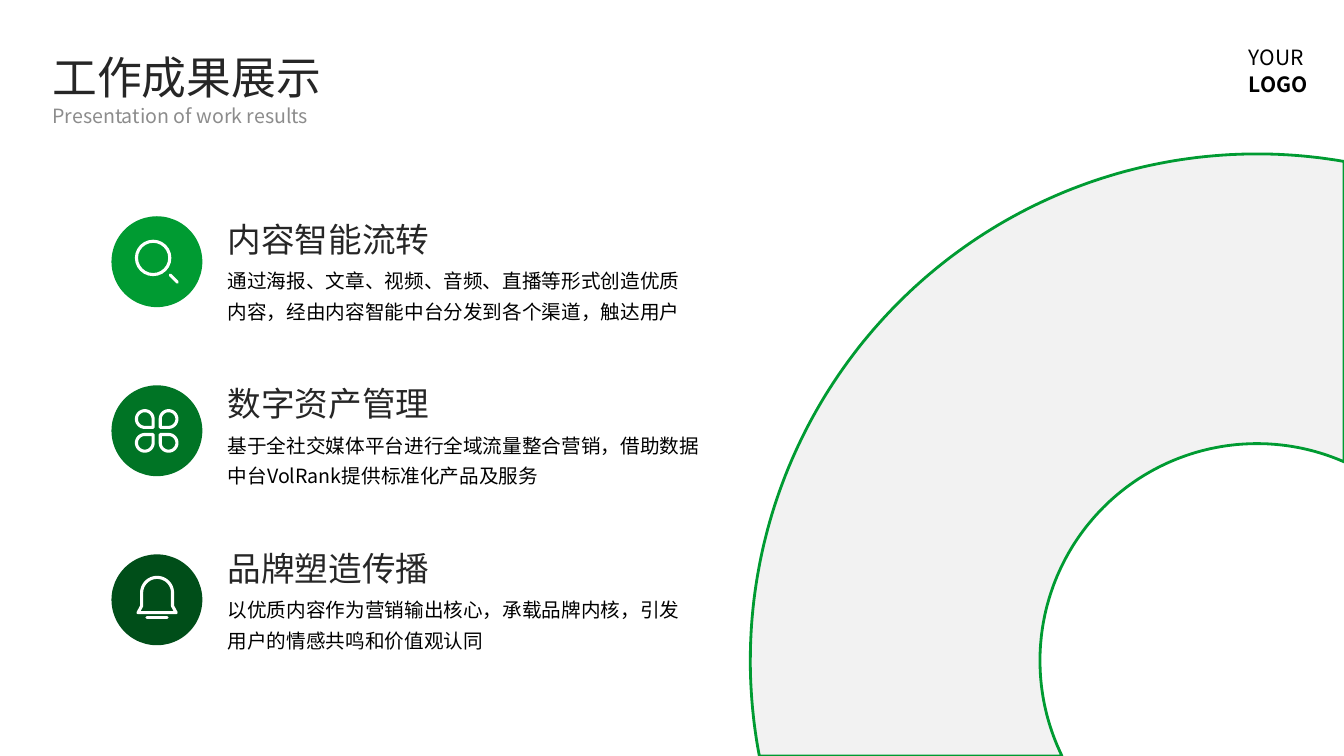
"""Build the work results slide with three icon rows and a large green arc."""
from math import acos, asin, cos, pi, sin

from lxml.etree import SubElement
from pptx import Presentation
from pptx.dml.color import RGBColor
from pptx.enum.shapes import MSO_CONNECTOR as LINK, MSO_SHAPE as KIND
from pptx.enum.text import MSO_ANCHOR, MSO_AUTO_SIZE as SIZE, PP_ALIGN
from pptx.oxml.ns import qn
from pptx.util import Cm, Pt

FONT = "Noto Sans CJK JP"
BLACK = RGBColor(0x00, 0x00, 0x00)
DARK = RGBColor(0x26, 0x26, 0x26)
GRAY = RGBColor(0x40, 0x40, 0x40)
WHITE = RGBColor(0xFF, 0xFF, 0xFF)
PALE = RGBColor(0xF2, 0xF2, 0xF2)
GREEN = RGBColor(0x00, 0x9B, 0x32)
MID = RGBColor(0x00, 0x74, 0x25)
DEEP = RGBColor(0x00, 0x4E, 0x19)


def write(box, text, size, color, gap=1.0):
    frame = box.text_frame
    frame.margin_left = frame.margin_right = 0
    frame.margin_top = frame.margin_bottom = 0
    frame.word_wrap = True
    frame.auto_size = SIZE.SHAPE_TO_FIT_TEXT
    frame.vertical_anchor = MSO_ANCHOR.TOP
    frame.text = text
    for para in frame.paragraphs:
        para.alignment = PP_ALIGN.LEFT
        para.line_spacing = gap
        para.font.size = Pt(size)
        para.font.name = FONT
        para.font.color.rgb = color
        props = para._p.pPr.find(qn("a:defRPr"))
        SubElement(props, qn("a:ea"), typeface=FONT)
    return frame


def paint(shape, fill, line, width=2.2):
    shape.shadow.inherit = False
    if fill is None:
        shape.fill.background()
    else:
        shape.fill.solid()
        shape.fill.fore_color.rgb = fill
    if line is None:
        shape.line.fill.background()
    else:
        shape.line.color.rgb = line
        shape.line.width = Pt(width)


deck = Presentation()
deck.slide_width, deck.slide_height = Cm(33.87), Cm(19.05)
slide = deck.slides.add_slide(deck.slide_layouts[5])
shapes = slide.shapes

title = shapes.title
title.left, title.top = Cm(1.32), Cm(1.24)
title.width, title.height = Cm(6.81), Cm(1.37)
write(title, "工作成果展示", 32, DARK)

sub = shapes.add_textbox(Cm(1.32), Cm(2.61), Cm(8.03), Cm(0.6))
frame = write(sub, "Presentation of work results", 14, GRAY)
tint = frame.paragraphs[0]._p.find(".//" + qn("a:srgbClr"))
SubElement(tint, qn("a:alpha"), val="60000")

mark = shapes.add_textbox(Cm(31.47), Cm(1.07), Cm(2), Cm(1.4))
frame = write(mark, "YOUR\nLOGO", 15, BLACK, 1.07)
frame.paragraphs[1].font.bold = True

rows = [
    ("内容智能流转", GREEN, 11.71,
     "通过海报、文章、视频、音频、直播等形式创造优质内容，经由内容智能中台分发到各个渠道，触达用户"),
    ("数字资产管理", MID, 12.09,
     "基于全社交媒体平台进行全域流量整合营销，借助数据中台VolRank提供标准化产品及服务"),
    ("品牌塑造传播", DEEP, 11.71,
     "以优质内容作为营销输出核心，承载品牌内核，引发用户的情感共鸣和价值观认同"),
]
for i, (head, color, wide, body) in enumerate(rows):
    top = 5.52 + 4.14 * i
    box = shapes.add_textbox(Cm(5.74), Cm(top), Cm(5.99), Cm(1.02))
    write(box, head, 24, DARK)
    box = shapes.add_textbox(Cm(5.74), Cm(top + 1.09), Cm(wide), Cm(1.5))
    write(box, body, 14, BLACK, 1.3)
    disc = shapes.add_shape(KIND.OVAL, Cm(2.81), Cm(5.45 + 4.26 * i), Cm(2.29), Cm(2.29))
    paint(disc, color, None)

lens = shapes.add_shape(KIND.OVAL, Cm(3.44), Cm(6.08), Cm(0.84), Cm(0.84))
paint(lens, None, WHITE)

clover = []
for x, y in [(-1, -1), (1, -1), (-1, 1), (1, 1)]:
    left, top, rad = 3.95 + 0.3 * x, 10.86 + 0.3 * y, 0.21
    turns = [pi * k / 24 for k in range(-12, 25)]
    petal = [(left + rad * x * cos(t), top + rad * y * sin(t)) for t in turns]
    clover.append(petal + [(left - rad * x, top - rad * y)])

dome = [(3.96 - 0.39 * cos(pi * k / 24), 14.94 - 0.39 * sin(pi * k / 24)) for k in range(25)]
bell = [(3.48, 15.44), (3.57, 15.27)] + dome + [(4.35, 15.27), (4.44, 15.44)]

spans = []
for rad in (12.77, 5.47):
    start, end = pi + asin(2.4 / rad), acos(2.19 / rad)
    turns = [start + (end - start) * k / 120 for k in range(121)]
    spans.append([(31.68 + rad * cos(t), 16.65 - rad * sin(t)) for t in turns])
arc = spans[0] + spans[1][::-1]

forms = [(clover, None, WHITE, 2.2), ([bell], None, WHITE, 2.2), ([arc], PALE, GREEN, 2)]
for loops, fill, line, width in forms:
    loops = [[(Cm(x), Cm(y)) for x, y in dots] for dots in loops]
    pen = shapes.build_freeform(*loops[0][0])
    for dots in loops:
        if dots is not loops[0]:
            pen.move_to(*dots[0])
        pen.add_line_segments(dots[1:], close=True)
    form = pen.convert_to_shape()
    paint(form, fill, line, width)
    SubElement(form.line._get_or_add_ln(), qn("a:round"))

for ends in [(4.29, 6.93, 4.47, 7.11), (3.7, 15.57, 4.21, 15.57)]:
    stroke = shapes.add_connector(LINK.STRAIGHT, *[Cm(v) for v in ends])
    stroke.line.color.rgb = WHITE
    stroke.line.width = Pt(2.2)
    stroke.line._get_or_add_ln().set("cap", "rnd")
    SubElement(stroke._element.spPr, qn("a:effectLst"))

deck.save("out.pptx")
